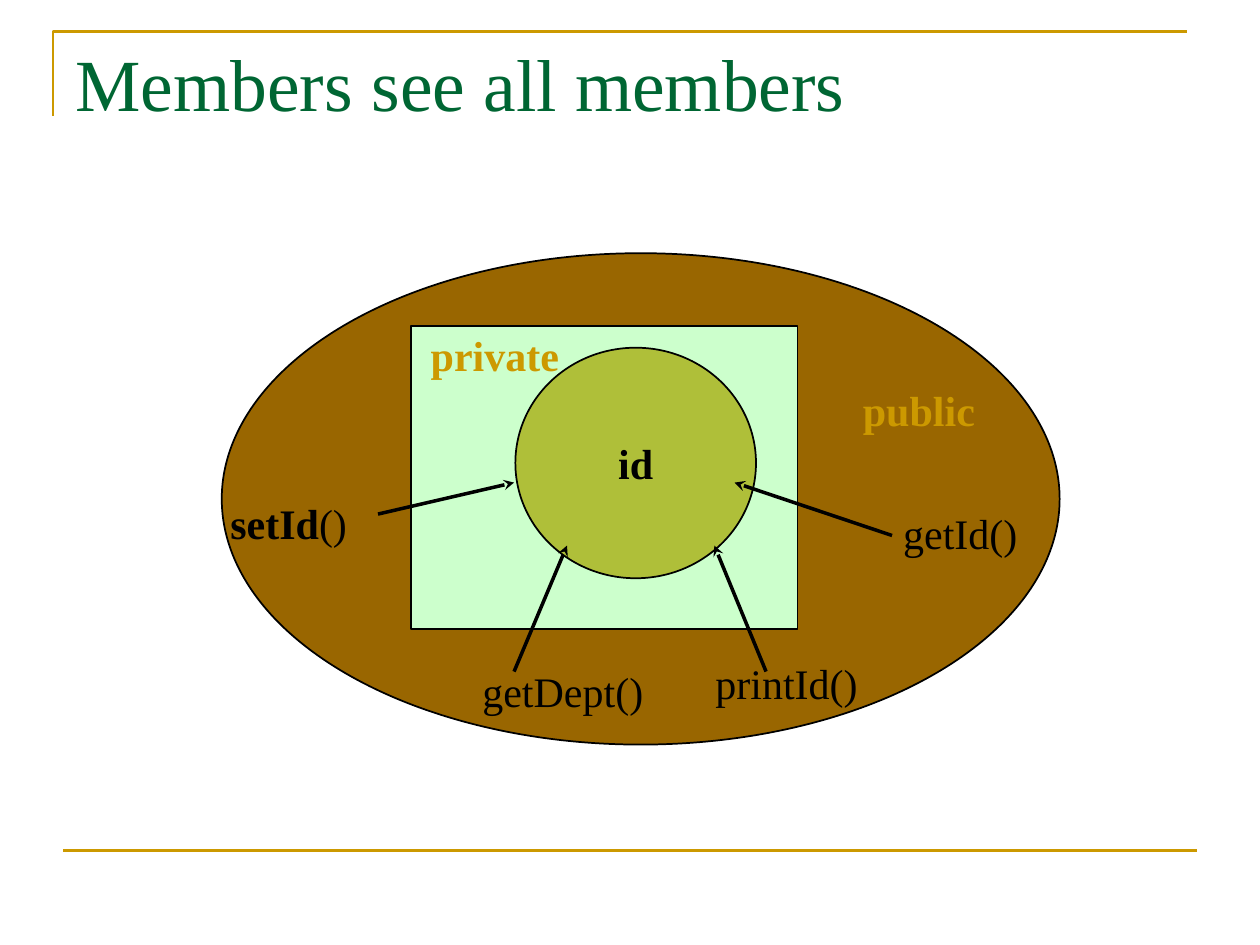
from pptx import Presentation
from pptx.dml.color import RGBColor
from pptx.enum.shapes import MSO_CONNECTOR, MSO_SHAPE
from pptx.enum.text import MSO_ANCHOR, MSO_AUTO_SIZE, PP_ALIGN
from pptx.oxml.ns import qn
from pptx.util import Inches, Pt
from lxml import etree

OVAL, RECTANGLE = MSO_SHAPE.OVAL, MSO_SHAPE.RECTANGLE
STRAIGHT = MSO_CONNECTOR.STRAIGHT
FONT = "Times New Roman"
GOLD = RGBColor(0xCC, 0x99, 0x00)
GREEN = RGBColor(0x00, 0x66, 0x33)
BROWN = RGBColor(0x99, 0x66, 0x00)
MINT = RGBColor(0xCC, 0xFF, 0xCC)
OLIVE = RGBColor(0xAF, 0xBF, 0x39)
BLACK = RGBColor(0, 0, 0)

TITLE = "Members see all members"
# Preset, (left, top, width, height), fill
PUBLIC_AREA = (OVAL, (1.76, 2.01, 6.65, 3.9), BROWN)
PRIVATE_AREA = (RECTANGLE, (3.26, 2.59, 3.07, 2.4), MINT)
ID_MEMBER = (OVAL, (4.09, 2.76, 1.91, 1.83), OLIVE)
# (left, top, width), colour, runs as (text, bold)
LABELS = [
    ((3.73, 5.23, 1.48), BLACK, [("getDept()", False)]),
    ((1.73, 3.9, 1.13), BLACK, [("setId", True), ("()", False)]),
    ((7.07, 3.98, 1.11), BLACK, [("getId()", False)]),
    ((3.32, 2.57, 1.22), GOLD, [("private", True)]),
    ((6.75, 3, 1.09), GOLD, [("public", True)]),
    ((5.58, 5.17, 1.33), BLACK, [("printId()", False)]),
]
LABEL_HEIGHT = 0.5
# Start and end of each access arrow
ARROWS = [
    ((4.08, 5.33), (4.5, 4.33)),
    ((7.08, 4.25), (5.83, 3.83)),
    ((3, 4.08), (4.08, 3.83)),
    ((6.08, 5.33), (5.67, 4.33)),
]
CORNER = [(0.42, 0.92), (0.42, 0.25), (9.42, 0.25)]
FOOTER_RULE = ((0.5, 6.75), (9.5, 6.75))


def inches(values):
    return [Inches(value) for value in values]


def add_run(paragraph, text, size, color, bold=False):
    run = paragraph.add_run()
    run.text = text
    run.font.name = FONT
    run.font.size = Pt(size)
    run.font.bold = bold
    run.font.color.rgb = color


def add_line(slide, start, end, color, width):
    line = slide.shapes.add_connector(STRAIGHT, *inches(start + end))
    line.line.color.rgb = color
    line.line.width = Pt(width)
    etree.SubElement(line._element.spPr, qn("a:effectLst"))
    return line


def add_arrow(slide, start, end):
    arrow = add_line(slide, start, end, BLACK, 2)
    etree.SubElement(arrow.line._get_or_add_ln(), qn("a:tailEnd"), type="stealth")


def add_area(slide, preset, box, fill):
    area = slide.shapes.add_shape(preset, *inches(box))
    area.shadow.inherit = False
    area.fill.solid()
    area.fill.fore_color.rgb = fill
    area.line.color.rgb = BLACK
    area.line.width = Pt(1)
    return area


def add_label(slide, position, color, runs):
    label = slide.shapes.add_textbox(*inches(position + (LABEL_HEIGHT,)))
    label.text_frame.word_wrap = False
    label.text_frame.auto_size = MSO_AUTO_SIZE.SHAPE_TO_FIT_TEXT
    for text, bold in runs:
        add_run(label.text_frame.paragraphs[0], text, 24, color, bold)


def add_frame(slide):
    """Draw the gold corner above the title and the rule at the foot."""
    points = [inches(point) for point in CORNER]
    builder = slide.shapes.build_freeform(*points[0])
    builder.add_line_segments(points[1:], close=False)
    corner = builder.convert_to_shape()
    corner.shadow.inherit = False
    corner.fill.background()
    corner.line.color.rgb = GOLD
    corner.line.width = Pt(1.5)
    add_line(slide, *FOOTER_RULE, GOLD, 1.5)


def set_title(slide):
    title = slide.shapes.title
    title.left, title.top, title.width, title.height = inches((0.5, 0.25, 9, 0.8))
    frame = title.text_frame
    frame.auto_size = MSO_AUTO_SIZE.NONE
    frame.vertical_anchor = MSO_ANCHOR.BOTTOM
    frame.paragraphs[0].alignment = PP_ALIGN.LEFT
    add_run(frame.paragraphs[0], TITLE, 42, GREEN)


def main():
    presentation = Presentation()
    presentation.slide_width, presentation.slide_height = inches((10, 7.5))
    slide = presentation.slides.add_slide(presentation.slide_layouts[5])
    add_frame(slide)
    set_title(slide)

    add_area(slide, *PUBLIC_AREA)
    add_area(slide, *PRIVATE_AREA)
    member = add_area(slide, *ID_MEMBER).text_frame
    member.word_wrap = False
    member.vertical_anchor = MSO_ANCHOR.MIDDLE
    member.paragraphs[0].alignment = PP_ALIGN.CENTER
    add_run(member.paragraphs[0], "id", 24, BLACK, True)

    for label in LABELS:
        add_label(slide, *label)
    for start, end in ARROWS:
        add_arrow(slide, start, end)
    presentation.save("out.pptx")


if __name__ == "__main__":
    main()
